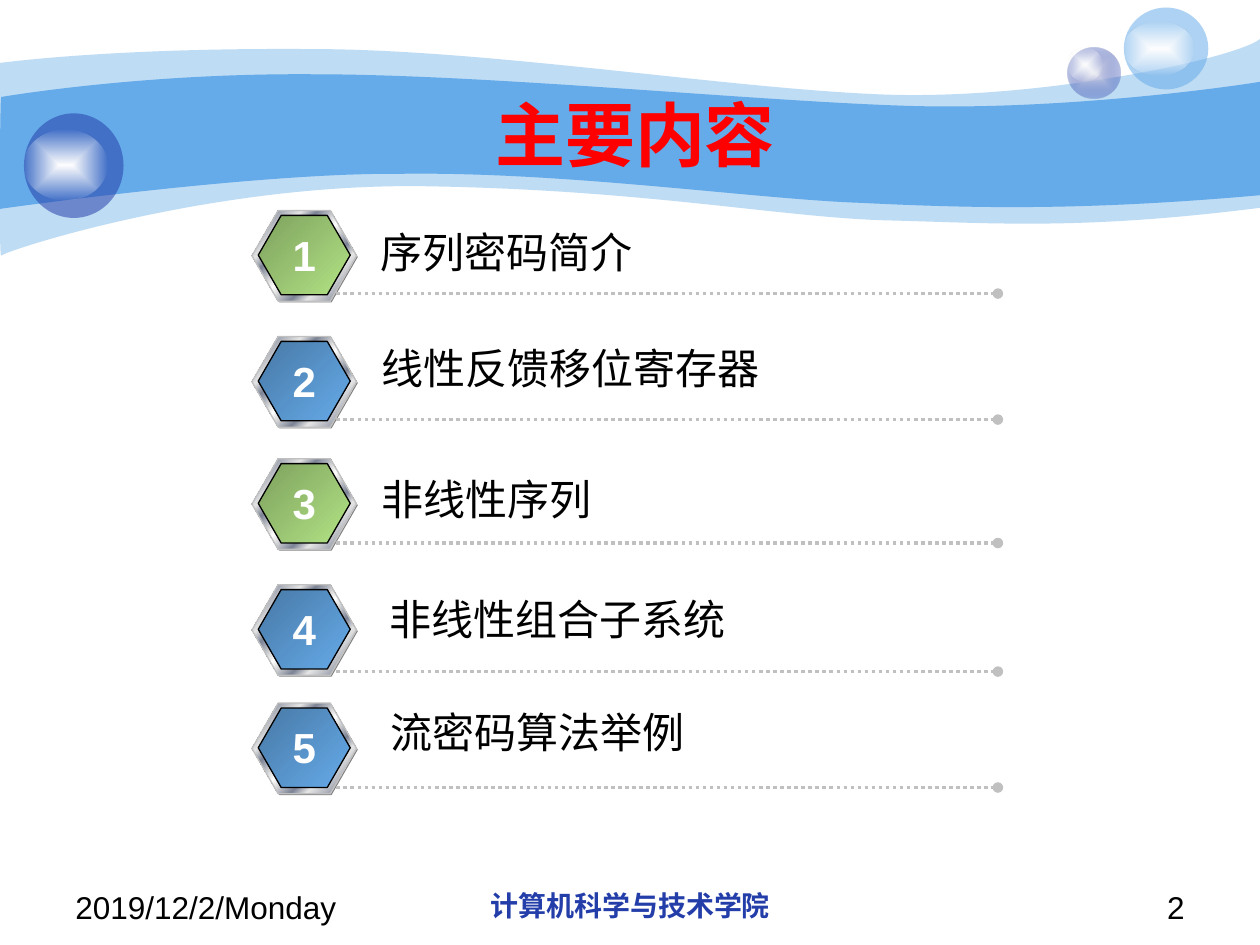
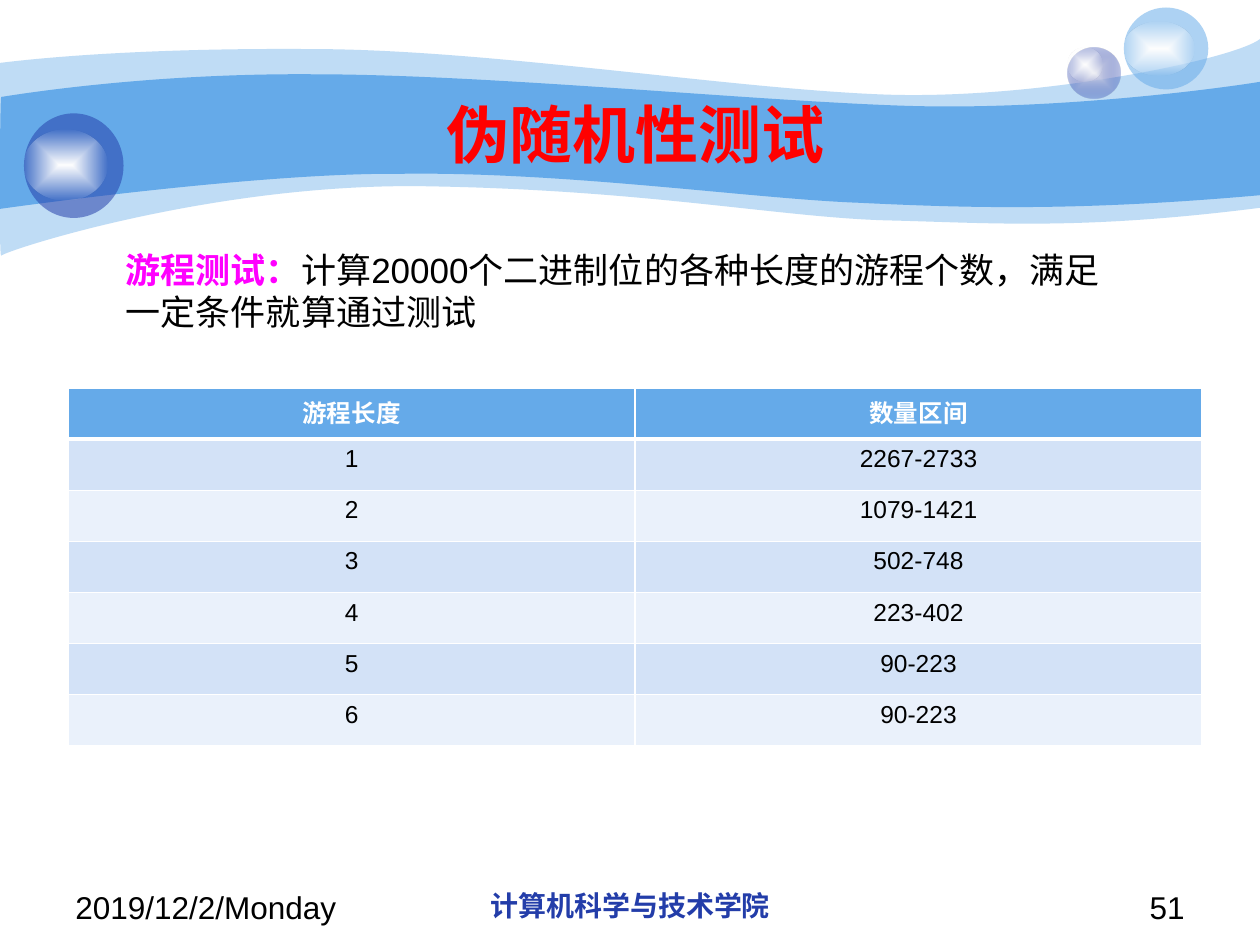
from lxml.etree import SubElement
from pptx import Presentation
from pptx.dml.color import RGBColor
from pptx.enum.dml import MSO_LINE
from pptx.enum.shapes import MSO_CONNECTOR, MSO_SHAPE
from pptx.enum.text import MSO_ANCHOR, MSO_AUTO_SIZE, PP_ALIGN
from pptx.oxml.ns import qn
from pptx.util import Inches, Pt

FONT = "Arial"
SKY, NAVY, WHITE, BLACK = "65AAE9", "233DA9", "FFFFFF", "000000"
RED, PINK, GRAY, SILVER = "FF0000", "FF00FF", "808080", "C0C0C0"
GREEN, PALE, LIGHT = "B2E385", "D3E2F7", "EAF1FB"
GLOW = [(0, WHITE, {}), (100, WHITE, {"alpha": 0})]
METAL = [(spot, tone, {}) for spot, tone in (
    (0, "E6E6E6"), (8, "7D8496"), (26, "E6E6E6"), (34, "7D8496"),
    (46, "E6E6E6"), (50, WHITE), (54, "E6E6E6"), (66, "7D8496"),
    (74, "E6E6E6"), (93, "7D8496"), (100, "E6E6E6"))]

OUTER = [(0, 0.5), (0.24, 0.47, 1.07, 0.38, 2.47, 0.39),
         (3.86, 0.39, 5.75, 0.7, 6.99, 0.75), (8.22, 0.8, 9.8, 0.47, 10, 0.31),
         (10, 1.65), (8.58, 1.83, 7.87, 1.77, 7.05, 1.75),
         (6.22, 1.73, 5.15, 1.51, 3.43, 1.48),
         (1.72, 1.44, 0.04, 1.99, 0.01, 2.03), (-0.01, 2.08, 0, 0.75, 0, 0.5)]
INNER = [(0.01, 0.77), (0.02, 0.77, 1.1, 0.58, 2.48, 0.59),
         (3.86, 0.59, 5.95, 0.8, 7.18, 0.84), (8.41, 0.88, 9.76, 0.69, 10, 0.65),
         (10, 1.55), (8.53, 1.68, 7.65, 1.65, 6.82, 1.61),
         (5.99, 1.58, 4.47, 1.36, 3.17, 1.38),
         (2.03, 1.37, -0.02, 1.66, -0.01, 1.66), (0, 1.66, 0, 0.77, 0.01, 0.77)]

TOPICS = [("序列密码简介", GREEN, 1.67, 2.33, 2.92, 1.75),
          ("线性反馈移位寄存器", SKY, 2.67, 3.33, 2.93, 2.67),
          ("非线性序列", GREEN, 3.64, 4.31, 2.93, 3.71),
          ("非线性组合子系统", SKY, 4.64, 5.33, 2.99, 4.66),
          ("流密码算法举例", SKY, 5.58, 6.25, 3, 5.56)]
RUNS = [("游程长度", "数量区间"), ("1", "2267-2733"), ("2", "1079-1421"),
        ("3", "502-748"), ("4", "223-402"), ("5", "90-223"), ("6", "90-223")]


def hue(code):
    return RGBColor.from_string(code)


def place(*box):
    return [Inches(size) for size in box]


def tint(parent, code, mods):
    color = SubElement(parent, qn("a:srgbClr"), val=code)
    for name, share in mods.items():
        SubElement(color, qn("a:" + name), val=str(share * 1000))


def paint(shape, code, alpha=100):
    shape.fill.solid()
    shape.fill.fore_color.rgb = hue(code)
    if alpha < 100:
        color = shape._element.spPr.find(qn("a:solidFill"))[0]
        SubElement(color, qn("a:alpha"), val=str(alpha * 1000))


def blend(shape, stops, angle=None):
    shape.fill.background()
    props = shape._element.spPr
    grad = SubElement(props, qn("a:gradFill"), rotWithShape="1")
    props.replace(props.find(qn("a:noFill")), grad)
    marks = SubElement(grad, qn("a:gsLst"))
    for spot, code, mods in stops:
        tint(SubElement(marks, qn("a:gs"), pos=str(spot * 1000)), code, mods)
    if angle is None:
        route = SubElement(grad, qn("a:path"), path="shape")
        SubElement(route, qn("a:fillToRect"), l="50000", t="50000",
                   r="50000", b="50000")
    else:
        SubElement(grad, qn("a:lin"), ang=str(angle * 60000), scaled="1")


def trim(shape, code=None):
    shape.shadow.inherit = False
    if code:
        shape.line.color.rgb = hue(code)
        shape.line.width = Pt(0.75)
    else:
        shape.line.fill.background()


def style(para, size, code, bold=False, align=PP_ALIGN.LEFT):
    para.alignment = align
    para.font.name = FONT
    para.font.size = Pt(size)
    para.font.bold = bold
    para.font.color.rgb = hue(code)


def label(slide, box, text, size, code, bold=False, align=PP_ALIGN.LEFT,
          wrap=True, anchor=MSO_ANCHOR.TOP):
    frame = slide.shapes.add_textbox(*place(*box)).text_frame
    frame.word_wrap = wrap
    frame.auto_size = MSO_AUTO_SIZE.NONE if wrap else MSO_AUTO_SIZE.SHAPE_TO_FIT_TEXT
    frame.vertical_anchor = anchor
    para = frame.paragraphs[0]
    para.text = text
    style(para, size, code, bold, align)


def wave(slide, box, parts, alpha=100):
    left, top, width, height = place(*box)
    ends = [place(*part[-2:]) for part in parts]
    pen = slide.shapes.build_freeform(*ends[0], scale=1.0)
    pen.add_line_segments(ends[1:], close=True)
    band = pen.convert_to_shape()
    band.left, band.top, band.width, band.height = left, top, width, height
    route = next(band._element.iter(qn("a:path")))
    route.set("w", str(width))
    route.set("h", str(height))
    for step, part in zip(list(route), parts):
        if len(part) == 6:
            step.tag = qn("a:cubicBezTo")
        for old in list(step):
            step.remove(old)
        for x, y in zip(place(*part[::2]), place(*part[1::2])):
            SubElement(step, qn("a:pt"), x=str(x - left), y=str(y - top))
    paint(band, SKY, alpha)
    trim(band)


def ball(slide, box, shine, code, alpha, core=None):
    left, top = box[:2]
    drop, width, height = shine
    group = slide.shapes.add_group_shape()
    orb = group.shapes.add_shape(MSO_SHAPE.OVAL, *place(*box))
    if core:
        blend(orb, [(0, core, {}), (100, code, {"alpha": alpha})])
    else:
        paint(orb, code, alpha)
    glow = group.shapes.add_shape(MSO_SHAPE.OVAL, *place(left, top + drop, width, height))
    blend(glow, GLOW)
    trim(orb)
    trim(glow)


def footer(slide, left, top, number):
    label(slide, (left, top, 2.33, 0.35), "2019/12/2/Monday", 18, BLACK)
    label(slide, (left + 2.92, top, 3.17, 0.35), "计算机科学与技术学院", 16, NAVY,
          True, PP_ALIGN.CENTER)
    label(slide, (left + 6.67, top, 2.33, 0.35), str(number), 18, BLACK,
          align=PP_ALIGN.RIGHT)


def base(deck, title, size, number):
    slide = deck.slides.add_slide(deck.slide_layouts[6])
    wave(slide, (-0.01, 0.31, 10.01, 1.77), OUTER, 41)
    wave(slide, (-0.02, 0.58, 10.02, 1.1), INNER)
    ball(slide, (8.47, 0.38, 0.42, 0.4), (0, 0.28, 0.27), NAVY, 31, "E1E2ED")
    ball(slide, (8.92, 0.06, 0.67, 0.65), (0.11, 0.56, 0.43), SKY, 53)
    ball(slide, (0.19, 0.9, 0.79, 0.83), (0.13, 0.66, 0.56), NAVY, 53)
    label(slide, (1, 0.75, 8.08, 0.62), title, size, RED, True, PP_ALIGN.CENTER,
          anchor=MSO_ANCHOR.MIDDLE)
    footer(slide, 0.5, 7, number)
    return slide


def badge(slide, left, top, number, tone):
    group = slide.shapes.add_group_shape()

    def plate(*box):
        shape = group.shapes.add_shape(MSO_SHAPE.HEXAGON, *place(*box))
        shape.adjustments[0] = 0.289
        shape.adjustments[1] = 1.155
        return shape

    shade = plate(left + 0.01, top + 0.01, 0.83, 0.72)
    paint(shade, GRAY)
    trim(shade)
    rim = plate(left, top, 0.83, 0.72)
    blend(rim, METAL, 45)
    trim(rim, SILVER)
    face = plate(left + 0.05, top + 0.04, 0.73, 0.63)
    blend(face, [(0, tone, {"shade": 46}), (100, tone, {})], 45)
    trim(face, BLACK)
    label(slide, (left + 0.22, top + 0.1, 0.39, 0.5), str(number), 24, WHITE, True,
          PP_ALIGN.CENTER, wrap=False)


def rule(slide, left, top, width):
    line = slide.shapes.add_connector(MSO_CONNECTOR.STRAIGHT,
                                      *place(left, top, left + width, top))
    line.line.color.rgb = hue(SILVER)
    line.line.width = Pt(2)
    line.line.dash_style = MSO_LINE.ROUND_DOT
    props = line._element.spPr
    SubElement(props.find(qn("a:ln")), qn("a:tailEnd"), type="oval")
    SubElement(props, qn("a:effectLst"))


def agenda(deck):
    slide = base(deck, "主要内容", 40, 2)
    for number, (text, tone, top, low, left, head) in enumerate(TOPICS, 1):
        badge(slide, 2, top, number, tone)
        rule(slide, 2.67, low, 5.25)
        label(slide, (left, head, 0.2 + len(text) / 3, 0.5), text, 24, BLACK, wrap=False)


def edge(cell):
    props = cell._tc.get_or_add_tcPr()
    for side, width in zip("LRTB", (1, 1, 1, 3)):
        line = SubElement(props, qn("a:ln" + side), w=str(Pt(width)))
        tint(SubElement(line, qn("a:solidFill")), WHITE, {})


def grid(slide, left, top, width, height):
    table = slide.shapes.add_table(len(RUNS), 2, *place(left, top, width, height)).table
    for row, texts in enumerate(RUNS):
        for col, text in enumerate(texts):
            cell = table.cell(row, col)
            if row == 0:
                edge(cell)
            cell.fill.solid()
            cell.fill.fore_color.rgb = hue(SKY if row == 0 else PALE if row % 2 else LIGHT)
            cell.text = text
            style(cell.text_frame.paragraphs[0], 14, BLACK if row else WHITE,
                  row == 0, PP_ALIGN.CENTER)


def intro(slide, *box):
    frame = slide.shapes.add_textbox(*place(*box)).text_frame
    frame.word_wrap = True
    frame.auto_size = MSO_AUTO_SIZE.SHAPE_TO_FIT_TEXT
    para = frame.paragraphs[0]
    para._p.get_or_add_pPr().set("marL", str(Inches(0.5)))
    style(para, 20, BLACK)
    term = para.add_run()
    term.text = "游程测试："
    term.font.bold = True
    term.font.color.rgb = hue(PINK)
    para.add_run().text = "计算20000个二进制位的各种长度的游程个数，满足一定条件就算通过测试"


def test(deck):
    slide = base(deck, "伪随机性测试", 36, 51)
    grid(slide, 0.54, 3.08, 9, 2.84)
    intro(slide, 0.4, 1.92, 8.6, 0.77)


def main():
    deck = Presentation()
    deck.slide_width, deck.slide_height = place(10, 7.5)
    agenda(deck)
    test(deck)
    deck.save("out.pptx")


if __name__ == "__main__":
    main()
